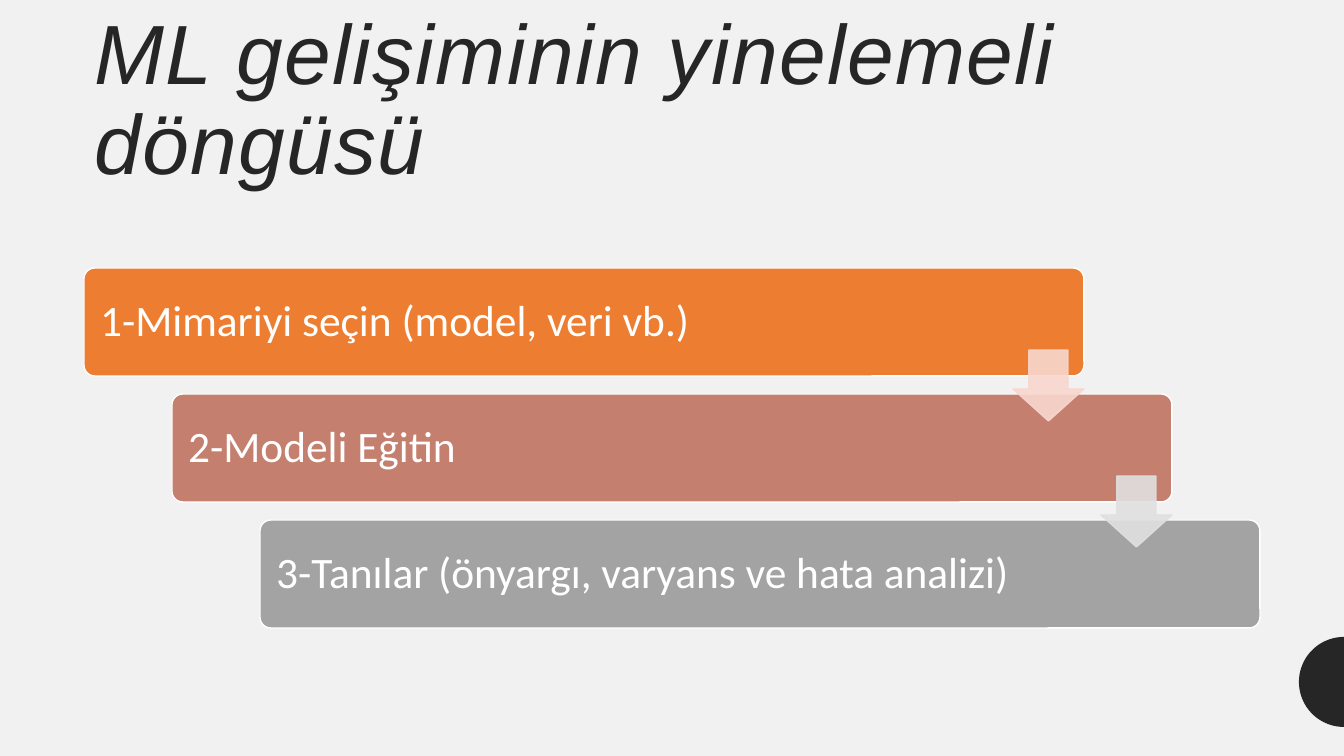
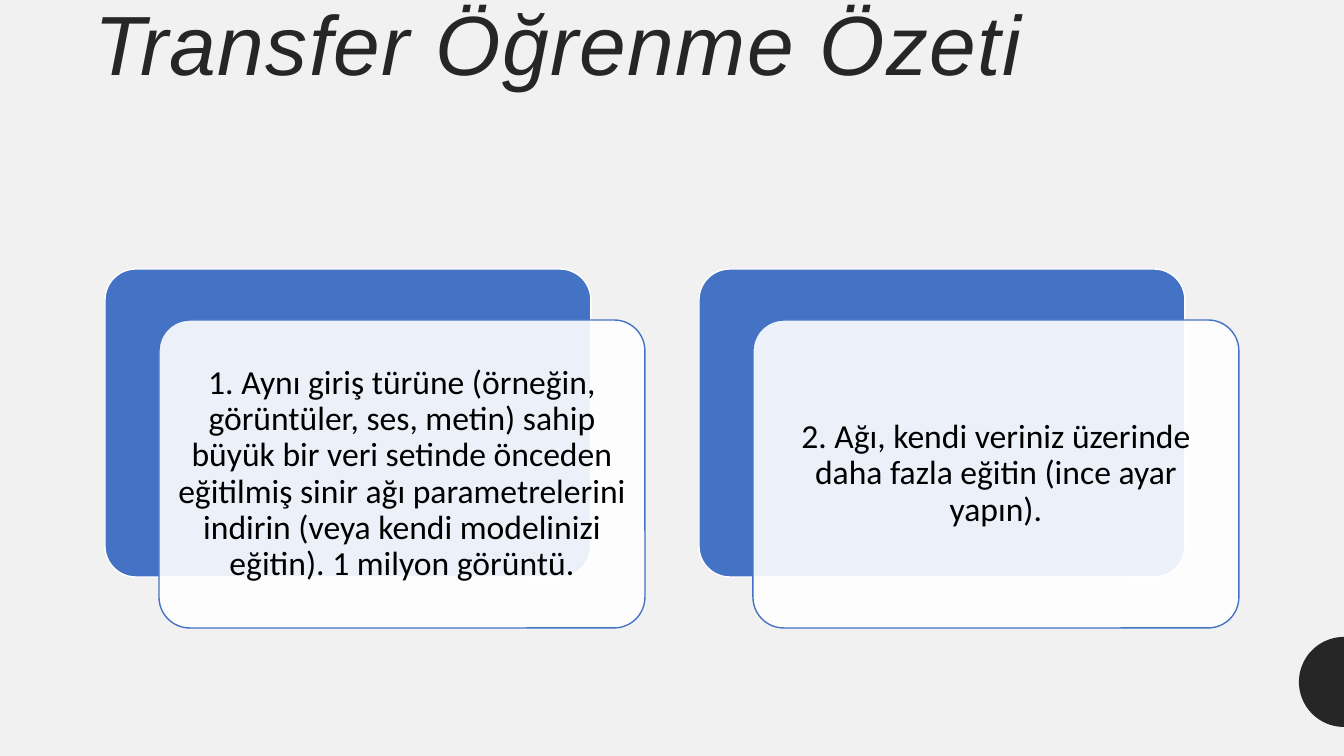
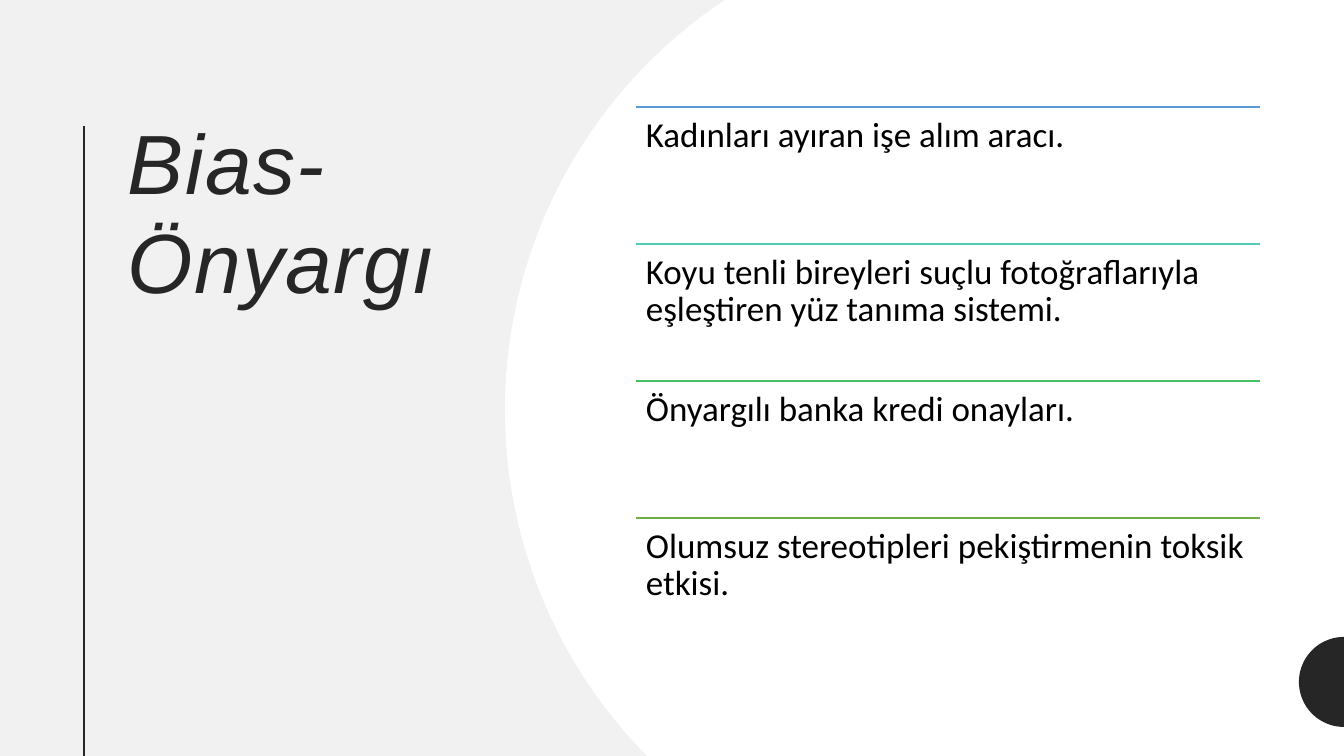
from math import asin, cos, radians, sin

from pptx import Presentation
from pptx.dml.color import RGBColor
from pptx.enum.shapes import MSO_CONNECTOR, MSO_SHAPE
from pptx.enum.text import MSO_ANCHOR, PP_ALIGN
from pptx.oxml.ns import qn
from pptx.util import Emu, Pt

# Geometry: 1344 x 756 px on a 13.33 x 7.5 inch slide
WIDTH, HEIGHT = 1344, 756
EMU_PER_PX = 12192000 / WIDTH

# Colours
PAPER = RGBColor(0xF2, 0xF1, 0xF1)
INK = RGBColor(0x26, 0x26, 0x26)
WHITE = RGBColor(0xFF, 0xFF, 0xFF)
BLACK = RGBColor(0x00, 0x00, 0x00)
ORANGE = RGBColor(0xED, 0x7D, 0x31)
CLAY = RGBColor(0xC4, 0x7F, 0x6E)
GRAY = RGBColor(0xA3, 0xA3, 0xA3)
PALE_PINK = RGBColor(0xF8, 0xD7, 0xCE)
PALE_GRAY = RGBColor(0xE0, 0xE0, 0xE0)
BLUE = RGBColor(0x44, 0x72, 0xC4)
SKY = RGBColor(0x5B, 0x9B, 0xD5)
TEAL = RGBColor(0x52, 0xCA, 0xB8)
GREEN = RGBColor(0x49, 0xBF, 0x64)
OLIVE = RGBColor(0x70, 0xAD, 0x47)

# Text styles
TITLE = dict(name="Arial", size=Pt(60), italic=True, color=INK)
STEP = dict(name="Calibri", size=Pt(31), color=WHITE)
CARD = dict(name="Calibri", size=Pt(24), color=BLACK)
EXAMPLE = dict(name="Calibri", size=Pt(25), color=BLACK)


def px(length):
    return Emu(round(length * EMU_PER_PX))


def write(frame, lines, style, anchor=MSO_ANCHOR.TOP, align=PP_ALIGN.LEFT,
          inset=(10, 5), tracking=None):
    """Fill a text frame with one paragraph per line."""
    side, end = map(px, inset)
    frame_format = dict(word_wrap=True, vertical_anchor=anchor,
                        margin_left=side, margin_right=side,
                        margin_top=end, margin_bottom=end)
    for key, value in frame_format.items():
        setattr(frame, key, value)
    for index, line in enumerate(lines):
        paragraph = frame.paragraphs[0] if index == 0 else frame.add_paragraph()
        paragraph.alignment = align
        paragraph.line_spacing = 0.9
        if index < len(lines) - 1:
            paragraph.space_after = Pt(6)
        run = paragraph.add_run()
        run.text = line
        for key, value in style.items():
            if key == "color":
                run.font.color.rgb = value
            else:
                setattr(run.font, key, value)
        if tracking:
            run._r.get_or_add_rPr().set("spc", str(tracking))


def add_text(slide, at, lines, style, **layout):
    box = slide.shapes.add_textbox(*map(px, at))
    write(box.text_frame, lines, style, **layout)


def add_title(slide, at, *lines, anchor=MSO_ANCHOR.BOTTOM):
    add_text(slide, at, lines, TITLE, anchor=anchor, tracking=100)


def fade(fill):
    """Make a solid fill 90 % opaque."""
    color = fill._xPr.find(qn("a:solidFill"))[0]
    color.append(color.makeelement(qn("a:alpha"), {"val": "90000"}))


def add_block(slide, preset, at, fill, outline, adjustments=(0.1,)):
    block = slide.shapes.add_shape(preset, *map(px, at))
    block.shadow.inherit = False
    for index, value in enumerate(adjustments):
        block.adjustments[index] = value
    block.fill.solid()
    block.fill.fore_color.rgb = fill
    block.line.color.rgb = outline
    block.line.width = Pt(1)
    return block


def add_rule(slide, start, end, color, width):
    rule = slide.shapes.add_connector(MSO_CONNECTOR.STRAIGHT,
                                      *map(px, start + end))
    rule.line.color.rgb = color
    rule.line.width = Pt(width)
    properties = rule._element.spPr
    properties.append(properties.makeelement(qn("a:effectLst"), {}))


def add_arc_panel(slide, center, radius, top, bottom, color):
    """Area from a circle's left arc to the right edge of the slide."""
    cx, cy = center
    first, last = (asin((cy - y) / radius) for y in (top, bottom))
    steps = 60
    angles = [first + (last - first) * i / steps for i in range(steps + 1)]
    arc = [(cx - radius * cos(a), cy - radius * sin(a)) for a in angles]
    outline = [(px(x), px(y))
               for x, y in arc + [(WIDTH, bottom), (WIDTH, top)]]
    builder = slide.shapes.build_freeform(*outline[0])
    builder.add_line_segments(outline[1:])
    panel = builder.convert_to_shape()
    panel.shadow.inherit = False
    panel.fill.solid()
    panel.fill.fore_color.rgb = color
    panel.line.fill.background()


def build_cycle(slide):
    add_title(slide, (84, 46, 1176, 152), "ML gelişiminin yinelemeli döngüsü")
    left, top, step_x, step_y = 84, 268, 88, 126

    # Staggered steps
    steps = [("1-Mimariyi seçin (model, veri vb.)", ORANGE),
             ("2-Modeli Eğitin", CLAY),
             ("3-Tanılar (önyargı, varyans ve hata analizi)", GRAY)]
    for i, (label, color) in enumerate(steps):
        at = (left + i * step_x, top + i * step_y, 1000, 108)
        bar = add_block(slide, MSO_SHAPE.ROUNDED_RECTANGLE, at, color, WHITE)
        write(bar.text_frame, [label], STEP, MSO_ANCHOR.MIDDLE, inset=(13, 13))

    # Arrows leading to the next step
    for i, color in enumerate((PALE_PINK, PALE_GRAY)):
        at = (left + 929 + i * step_x, top + 82 + i * step_y, 71, 71)
        arrow = add_block(slide, MSO_SHAPE.DOWN_ARROW, at, color, color,
                          (0.45, 0.55))
        # Shaft width and head length
        arrow.adjustments[0], arrow.adjustments[1] = 0.55, 0.45
        fade(arrow.fill)
        fade(arrow.line.fill)


def build_transfer(slide):
    add_title(slide, (84, 0, 1176, 99), "Transfer Öğrenme Özeti")
    cards = ["1. Aynı giriş türüne (örneğin, görüntüler, ses, metin) sahip "
             "büyük bir veri setinde önceden eğitilmiş sinir ağı "
             "parametrelerini indirin (veya kendi modelinizi eğitin). "
             "1 milyon görüntü.",
             "2. Ağı, kendi veriniz üzerinde daha fazla eğitin "
             "(ince ayar yapın)."]
    for i, label in enumerate(cards):
        left, top, size = 105 + i * 594, 269, (486, 308)
        add_block(slide, MSO_SHAPE.ROUNDED_RECTANGLE, (left, top, *size),
                  BLUE, WHITE)
        front = add_block(slide, MSO_SHAPE.ROUNDED_RECTANGLE,
                          (left + 54, top + 51, *size), WHITE, BLUE)
        fade(front.fill)
        write(front.text_frame, [label], CARD, MSO_ANCHOR.MIDDLE,
              PP_ALIGN.CENTER, inset=(10, 10))


def build_bias(slide):
    add_title(slide, (118, 117, 344, 530), "Bias-", "Önyargı",
              anchor=MSO_ANCHOR.TOP)
    add_rule(slide, (84, 126), (84, HEIGHT), INK, 1.5)
    add_arc_panel(slide, (997, 410), 492, 0, HEIGHT, WHITE)

    # Ruled list of examples
    examples = [("Kadınları ayıran işe alım aracı.", SKY),
                ("Koyu tenli bireyleri suçlu fotoğraflarıyla eşleştiren "
                 "yüz tanıma sistemi.", TEAL),
                ("Önyargılı banka kredi onayları.", GREEN),
                ("Olumsuz stereotipleri pekiştirmenin toksik etkisi.", OLIVE)]
    left, width, pitch = 636, 624, 137
    for i, (label, color) in enumerate(examples):
        top = 107 + i * pitch
        add_rule(slide, (left, top), (left + width, top), color, 1)
        add_text(slide, (left, top, width, pitch), [label], EXAMPLE,
                 inset=(10, 10))


def main():
    prs = Presentation()
    prs.slide_width, prs.slide_height = px(WIDTH), px(HEIGHT)
    background = prs.slide_master.background.fill
    background.solid()
    background.fore_color.rgb = PAPER
    for build in (build_cycle, build_transfer, build_bias):
        slide = prs.slides.add_slide(prs.slide_layouts[6])
        build(slide)
        # Half disc on the right edge
        add_arc_panel(slide, (WIDTH, 682), 45, 637, 727, INK)
    prs.save("out.pptx")


if __name__ == "__main__":
    main()
